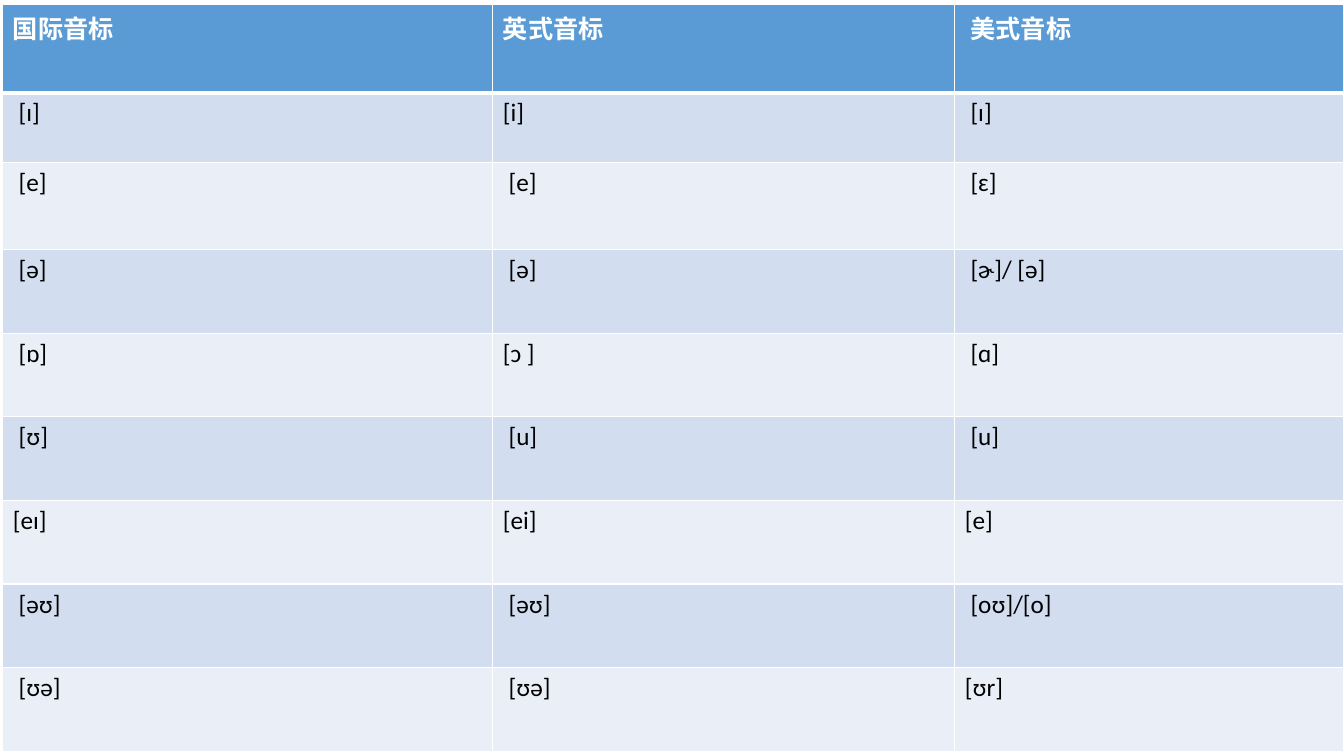
from lxml import etree
from pptx import Presentation
from pptx.dml.color import RGBColor
from pptx.oxml.ns import qn
from pptx.util import Pt

COLORS = {
    "header": "5B9BD5",
    "odd": "D2DEEF",
    "even": "EAEFF7",
    "border": "FFFFFF",
    "header_text": "FFFFFF",
    "text": "000000",
}
PHONETICS = [
    ["国际音标", "英式音标", " 美式音标"],
    [" [ɪ]", "[i]", " [ɪ]"],
    [" [e]", " [e]", " [ɛ]"],
    [" [ə]", " [ə]", " [ɚ]/ [ə]"],
    [" [ɒ]", "[ɔ ]", " [ɑ]"],
    [" [ʊ]", " [u]", " [u]"],
    ["[eɪ]", "[ei]", "[e]"],
    [" [əʊ]", " [əʊ]", " [oʊ]/[o]"],
    [" [ʊə]", " [ʊə]", "[ʊr]"],
]
COLUMN_WIDTHS = [350, 330, 278]
ROW_HEIGHTS = [63.3, 49.5, 62.6] + [59.7] * 6


def add_border(cell, side, width):
    properties = cell._tc.get_or_add_tcPr()
    line = etree.SubElement(properties, qn(f"a:{side}"), w=str(Pt(width)))
    fill = etree.SubElement(line, qn("a:solidFill"))
    etree.SubElement(fill, qn("a:srgbClr"), val=COLORS["border"])


deck = Presentation()
deck.slide_width, deck.slide_height = Pt(960), Pt(540)
slide = deck.slides.add_slide(deck.slide_layouts[6])

phonetics_table = slide.shapes.add_table(
    len(PHONETICS), len(COLUMN_WIDTHS),
    Pt(2), Pt(3), Pt(sum(COLUMN_WIDTHS)), Pt(sum(ROW_HEIGHTS)),
).table
for column, width in zip(phonetics_table.columns, COLUMN_WIDTHS):
    column.width = Pt(width)

for row_index, symbols in enumerate(PHONETICS):
    phonetics_table.rows[row_index].height = Pt(ROW_HEIGHTS[row_index])
    is_header = row_index == 0
    band = "header" if is_header else "odd" if row_index % 2 else "even"
    border_widths = {
        "lnL": 1,
        "lnR": 1,
        "lnT": 3 if row_index == 1 else 1,
        "lnB": 3 if is_header else 1,
    }
    font_format = {"name": "Calibri", "size": Pt(18), "bold": is_header}
    text_color = COLORS["header_text" if is_header else "text"]
    for column_index, symbol in enumerate(symbols):
        cell = phonetics_table.cell(row_index, column_index)
        for side, width in border_widths.items():
            add_border(cell, side, width)
        cell.fill.solid()
        cell.fill.fore_color.rgb = RGBColor.from_string(COLORS[band])
        cell.text = symbol
        font = cell.text_frame.paragraphs[0].runs[0].font
        for attribute, value in font_format.items():
            setattr(font, attribute, value)
        font.color.rgb = RGBColor.from_string(text_color)

deck.save("out.pptx")
